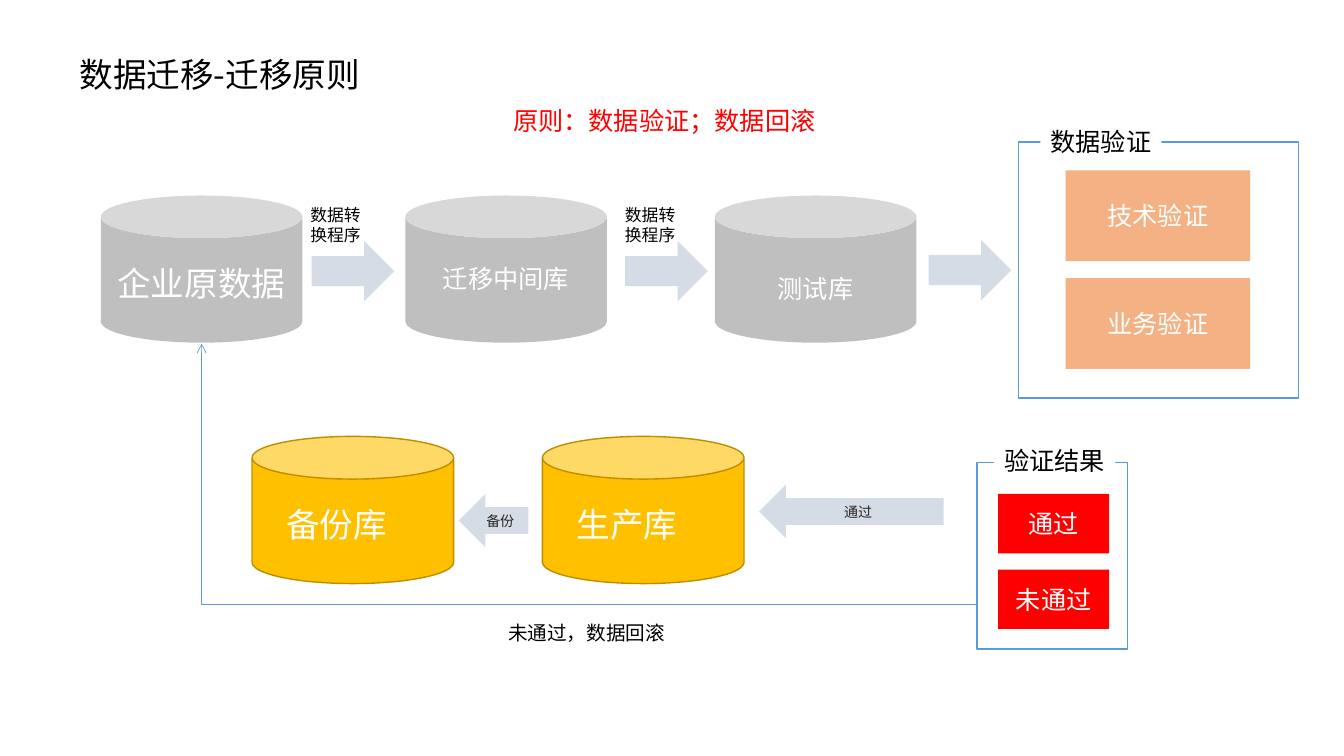
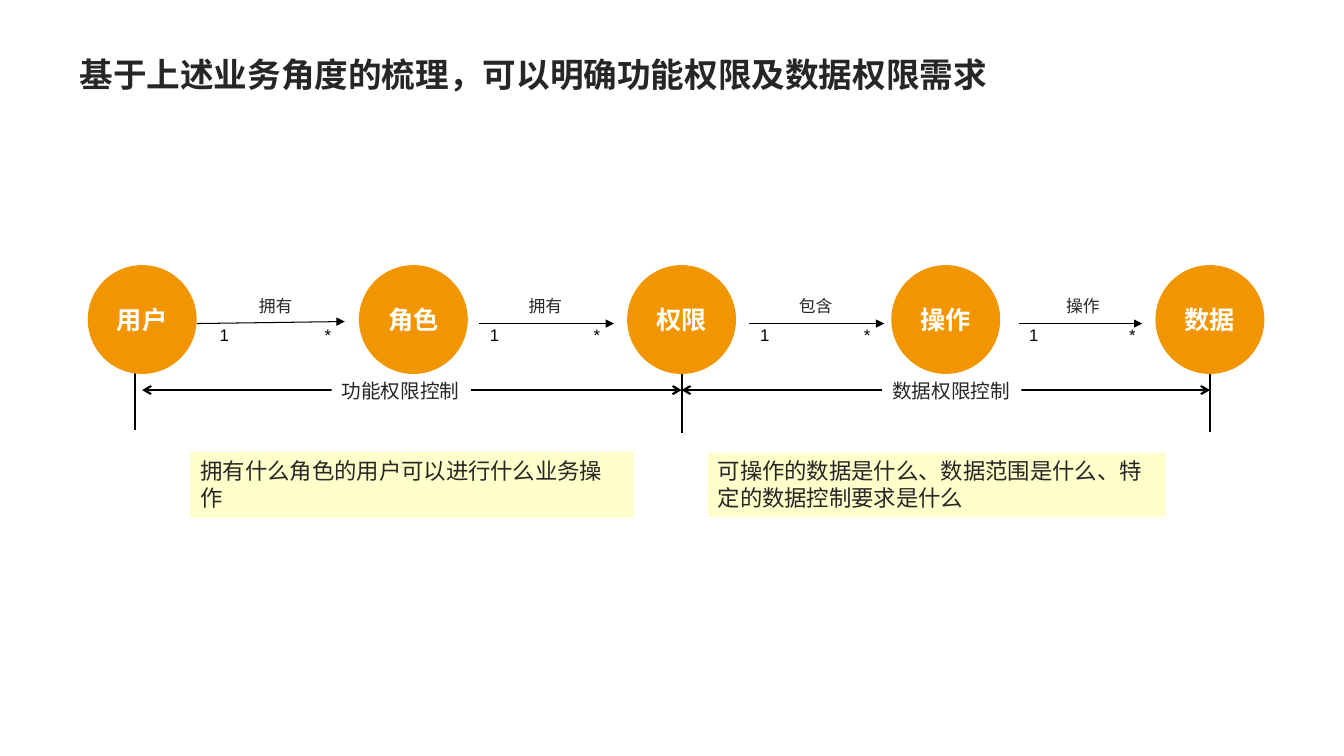
from dataclasses import dataclass

from pptx import Presentation
from pptx.dml.color import RGBColor
from pptx.enum import shapes, text
from pptx.oxml.ns import qn
from pptx.util import Inches, Pt
from lxml import etree


@dataclass(frozen=True)
class Theme:
    sc: str = "Noto Sans CJK SC"
    jp: str = "Noto Sans CJK JP"
    body: str = "Calibri"
    digits: str = "Arial"
    black: str = "000000"
    ink: str = "262626"
    white: str = "FFFFFF"
    red: str = "FF0000"
    gray: str = "BFBFBF"
    gold: str = "FFC000"
    gold_edge: str = "BD8E00"
    peach: str = "F4B183"
    blue: str = "5B9BD5"
    arrow: str = "D6DCE5"
    orange: str = "F19500"
    cream: str = "FFFFCC"
    title: int = 24
    head: int = 18
    note: int = 16
    label: int = 14
    small: int = 12
    tiny: int = 10


T = Theme()
SHAPE = shapes.MSO_SHAPE

# Slide 1 content
TITLE_1 = "数据迁移-迁移原则"
PRINCIPLE = "原则：数据验证；数据回滚"
ROLLBACK = "未通过，数据回滚"
CONVERTER = "数据转换程序"
CAN_W, CAN_H = 2, 1.46
# label, left, top, fill, edge, size, label shift, label top, label width
DATABASES = [
    ("企业原数据", 1, 1.94, T.gray, None, T.title, 0, 2.56, 1.87),
    ("迁移中间库", 4.02, 1.94, T.gray, None, T.head, 0, 2.56, 1.45),
    ("测试库", 7.09, 1.94, T.gray, None, T.head, 0, 2.66, 0.95),
    ("备份库", 2.5, 4.33, T.gold, T.gold_edge, T.title, -0.16, 4.95, 1.2),
    ("生产库", 5.38, 4.33, T.gold, T.gold_edge, T.title, -0.16, 4.95, 1.2),
]
# heading, heading box, frame, button fill, first button, row step, buttons
PANELS = [
    ("数据验证", (10.32, 1.2, 1.2, 0.4), (10.1, 1.41, 2.78, 2.54),
     T.peach, (10.57, 1.69, 1.83, 0.9), 1.07, ["技术验证", "业务验证"]),
    ("验证结果", (9.86, 4.37, 1.2, 0.4), (9.69, 4.59, 1.49, 1.85),
     T.red, (9.9, 4.9, 1.1, 0.59), 0.75, ["通过", "未通过"]),
]
BLOCK_ARROWS = [
    (SHAPE.RIGHT_ARROW, (3.09, 2.39, 0.82, 0.6), ""),
    (SHAPE.RIGHT_ARROW, (6.2, 2.39, 0.82, 0.6), ""),
    (SHAPE.RIGHT_ARROW, (9.21, 2.38, 0.82, 0.6), ""),
    (SHAPE.LEFT_ARROW, (4.55, 4.9, 0.69, 0.53), "备份"),
    (SHAPE.LEFT_ARROW, (7.53, 4.81, 1.83, 0.53), "通过"),
]
CONVERTER_LEFTS = [2.98, 6.1]

# Slide 2 content
TITLE_2 = "基于上述业务角度的梳理，可以明确功能权限及数据权限需求"
CIRCLE_TOP, CIRCLE_D = 2.63, 1.08
ENTITIES = [("用户", 0.87), ("角色", 3.56), ("权限", 6.22), ("操作", 8.84), ("数据", 11.46)]
# label, line start, line end, line end height, left of "1", left of "*"
RELATIONS = [
    ("拥有", 1.95, 3.42, 3.19, 2.08, 3.12),
    ("拥有", 4.75, 6.09, 3.21, 4.76, 5.79),
    ("包含", 7.43, 8.77, 3.21, 7.44, 8.47),
    ("操作", 10.11, 11.33, 3.21, 10.11, 11.1),
]
TICKS = [(1.34, 3.49, 4.27), (6.76, 3.51, 4.3), (12, 3.51, 4.29)]
# label, span start, span end, label left
SCOPES = [("功能权限控制", 1.41, 6.76, 3.29), ("数据权限控制", 6.76, 12, 8.75)]
NOTES = [
    ("拥有什么角色的用户可以进行什么业务操作", (1.89, 4.49, 4.39, 0.64), T.cream),
    ("可操作的数据是什么、数据范围是什么、特定的数据控制要求是什么",
     (7.02, 4.49, 4.54, 0.64), None),
]


# Shared drawing helpers
def write(shape, words, size, color, font=T.sc, bold=False, center=False, wrap=True):
    tf = shape.text_frame
    frame = {
        "word_wrap": wrap,
        "vertical_anchor": text.MSO_ANCHOR.MIDDLE if center else text.MSO_ANCHOR.TOP,
        "auto_size": text.MSO_AUTO_SIZE.NONE if center else text.MSO_AUTO_SIZE.SHAPE_TO_FIT_TEXT,
    }
    for key, value in frame.items():
        setattr(tf, key, value)
    p = tf.paragraphs[0]
    p.alignment = text.PP_ALIGN.CENTER if center else text.PP_ALIGN.LEFT
    r = p.add_run()
    r.text = words
    for key, value in {"size": Pt(size), "bold": bold, "name": font}.items():
        setattr(r.font, key, value)
    r.font.color.rgb = RGBColor.from_string(color)
    east = T.jp if font == T.jp else T.sc
    etree.SubElement(r.font._element, qn("a:ea")).set("typeface", east)


def add_text(s, box, words, size, color, **style):
    write(s.shapes.add_textbox(*map(Inches, box)), words, size, color, **style)


def add_block(s, kind, box, fill=None, edge=None, width=1):
    sp = s.shapes.add_shape(kind, *map(Inches, box))
    sp.shadow.inherit = False
    if fill:
        sp.fill.solid()
        sp.fill.fore_color.rgb = RGBColor.from_string(fill)
    else:
        sp.fill.background()
    if edge:
        sp.line.color.rgb = RGBColor.from_string(edge)
        sp.line.width = Pt(width)
    else:
        sp.line.fill.background()
    return sp


def add_line(s, start, end, width, color=T.black, head=None, tail=None,
             kind=shapes.MSO_CONNECTOR.STRAIGHT):
    line = s.shapes.add_connector(kind, *map(Inches, start + end))
    line.line.color.rgb = RGBColor.from_string(color)
    line.line.width = Pt(width)
    ln = line.line._get_or_add_ln()
    for tag, tip in (("a:headEnd", head), ("a:tailEnd", tail)):
        if tip:
            etree.SubElement(ln, qn(tag)).set("type", tip)
    etree.SubElement(line._element.spPr, qn("a:effectLst"))
    return line


def new_slide(prs, title, width, color, bold):
    s = prs.slides.add_slide(prs.slide_layouts[6])
    add_text(s, (0.69, 0.49, width, 0.5), title, T.title, color, font=T.jp, bold=bold)
    return s


def build_migration(prs):
    s = new_slide(prs, TITLE_1, 3.62, T.black, False)
    # Databases
    for label, x, y, fill, edge, size, shift, top, width in DATABASES:
        can = add_block(s, SHAPE.CAN, (x, y, CAN_W, CAN_H), fill, edge)
        can.adjustments[0] = 0.29
        left = x + (CAN_W - width) / 2 + shift
        add_text(s, (left, top, width, 0.5), label, size, T.white, wrap=False)
    # Framed panels
    for heading, head_box, frame, fill, (x, y, w, h), step, buttons in PANELS:
        add_block(s, SHAPE.RECTANGLE, frame, edge=T.blue)
        for i, label in enumerate(buttons):
            sp = add_block(s, SHAPE.RECTANGLE, (x, y + i * step, w, h), fill)
            write(sp, label, T.head, T.white, center=True)
        sp = add_block(s, SHAPE.RECTANGLE, head_box, T.white)
        write(sp, heading, T.head, T.black, wrap=False)
    # Flow arrows
    for kind, box, label in BLOCK_ARROWS:
        sp = add_block(s, kind, box, T.arrow)
        if label:
            write(sp, label, T.tiny, T.ink, center=True)
    # Rollback path: left from the results panel, then up to the source data
    back = add_line(s, (2, 3.41), (9.69, 6), 0.5, T.blue, tail="arrow",
                    kind=shapes.MSO_CONNECTOR.ELBOW)
    sppr = back._element.spPr
    sppr.find(qn("a:xfrm")).set("rot", "10800000")
    sppr.find(qn("a:prstGeom")).set("prst", "bentConnector2")
    # Captions
    add_text(s, (4.99, 1, 3.2, 0.4), PRINCIPLE, T.head, T.red, wrap=False)
    add_text(s, (4.94, 6.11, 1.79, 0.34), ROLLBACK, T.label, T.black, font=T.body)
    for x in CONVERTER_LEFTS:
        add_text(s, (x, 1.98, 0.78, 0.5), CONVERTER, T.small, T.black, font=T.body)


def build_permissions(prs):
    s = new_slide(prs, TITLE_2, 9.42, T.ink, True)
    # Relations with their multiplicities
    for label, x1, x2, y2, one, star in RELATIONS:
        add_line(s, (x1, 3.21), (x2, y2), 0.75, tail="triangle")
        middle = (one + star + 0.28) / 2
        add_text(s, (middle - 0.27, 2.88, 0.54, 0.3), label, T.small, T.ink,
                 font=T.jp, wrap=False)
        for mark, x, w in (("1", one, 0.3), ("*", star, 0.28)):
            add_text(s, (x, 3.17, w, 0.3), mark, T.small, T.black,
                     font=T.digits, wrap=False)
    # Control scopes
    for x, top, bottom in TICKS:
        add_line(s, (x, top), (x, bottom), 1.5)
    for label, x1, x2, left in SCOPES:
        add_line(s, (x1, 3.87), (x2, 3.87), 1.5, head="arrow", tail="arrow")
        sp = add_block(s, SHAPE.RECTANGLE, (left, 3.71, 1.38, 0.34), T.white)
        write(sp, label, T.label, T.ink, font=T.jp, wrap=False)
    # Explanations
    for words, box, edge in NOTES:
        sp = add_block(s, SHAPE.RECTANGLE, box, T.cream, edge, 0.75)
        write(sp, words, T.note, T.ink, font=T.jp)
    # Entities
    for label, x in ENTITIES:
        sp = add_block(s, SHAPE.OVAL, (x, CIRCLE_TOP, CIRCLE_D, CIRCLE_D), T.orange)
        write(sp, label, T.head, T.white, font=T.jp, bold=True, center=True)


def main():
    prs = Presentation()
    prs.slide_width, prs.slide_height = Inches(13.33), Inches(7.5)
    build_migration(prs)
    build_permissions(prs)
    prs.save("out.pptx")


if __name__ == "__main__":
    main()
